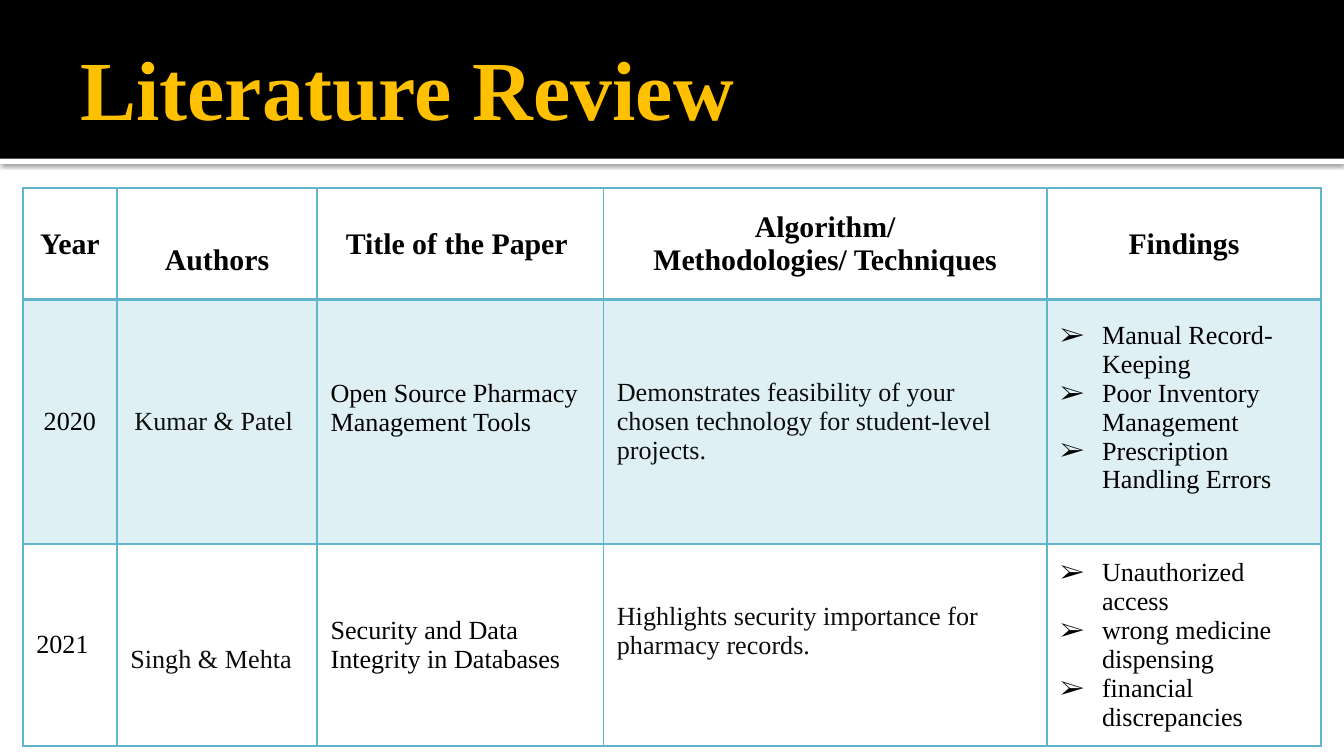
"""Build a literature review slide with a title band and a table of papers."""
from lxml import etree
from pptx import Presentation
from pptx.dml.color import RGBColor
from pptx.enum.shapes import MSO_SHAPE
from pptx.enum.text import MSO_ANCHOR, PP_ALIGN
from pptx.oxml import parse_xml
from pptx.oxml.ns import qn
from pptx.util import Inches, Pt

RECTANGLE = MSO_SHAPE.RECTANGLE
MIDDLE = MSO_ANCHOR.MIDDLE
LEFT, CENTER = PP_ALIGN.LEFT, PP_ALIGN.CENTER

NAMESPACE = "http://schemas.openxmlformats.org/drawingml/2006/main"
FONT = "Times New Roman"
COLORS = {"black": "000000", "white": "FFFFFF", "title": "FFC000",
          "accent": "60B5CC", "soft": "0D0D0D"}

TITLE = "Literature Review"
HEADERS = ["Year", "Authors", "Title of the Paper ",
           "Algorithm/\nMethodologies/ Techniques", "Findings"]
PAPERS = [
    ["2020", "Kumar & Patel ", "Open Source Pharmacy Management Tools",
     "Demonstrates feasibility of your chosen technology for student-level projects.",
     "Manual Record-Keeping\nPoor Inventory Management\nPrescription Handling Errors"],
    ["2021", "Singh & Mehta", "Security and Data Integrity in Databases",
     "Highlights security importance for pharmacy records.",
     "Unauthorized access\nwrong medicine dispensing\nfinancial discrepancies"],
]
COLUMN_WIDTHS = [0.7, 1.49, 2.13, 3.3, 2.04]
ROW_HEIGHTS = [0.83, 1.82, 1.45]
AUTHORS, METHODS, FINDINGS = 1, 3, 4
CENTERED = {(1, 0), (1, AUTHORS)}
LOWERED = {(0, AUTHORS): 0.25, (2, AUTHORS): 0.21}
RAISED = {(1, 2): 0.21, (1, FINDINGS): 0.21, (2, METHODS): 0.21}


def rgb(name):
    return RGBColor.from_string(COLORS[name])


def add_band(slide, top, height, color):
    shape = slide.shapes.add_shape(RECTANGLE, 0, Inches(top), Inches(10), Inches(height))
    shape.shadow.inherit = False
    shape.fill.solid()
    shape.fill.fore_color.rgb = rgb(color)
    shape.line.fill.background()
    return shape


def add_shadow(shape):
    effects = shape._element.spPr.find(qn("a:effectLst"))
    effects.append(parse_xml(
        f'<a:outerShdw xmlns:a="{NAMESPACE}" blurRad="{Pt(2.5)}" dist="{Pt(0.8)}" '
        f'dir="5400000" algn="tl" rotWithShape="0"><a:srgbClr val="{COLORS["black"]}">'
        '<a:alpha val="60000"/></a:srgbClr></a:outerShdw>'))


def style_font(paragraph, size, color, bold):
    font = paragraph.font
    font.name, font.size, font.bold = FONT, Pt(size), bold
    font.color.rgb = rgb(color)


def add_title(slide):
    box = slide.shapes.add_textbox(Inches(0.5), Inches(0.13), Inches(9), Inches(1.03))
    frame = box.text_frame
    frame.word_wrap = True
    frame.vertical_anchor = MIDDLE
    frame.margin_right = Inches(0.05)
    frame.text = TITLE
    style_font(frame.paragraphs[0], 45, "title", True)


def set_bullet(paragraph):
    properties = paragraph._p.get_or_add_pPr()
    properties.set("marL", str(Inches(0.31)))
    properties.set("indent", str(-Inches(0.31)))
    bullet_font = parse_xml(f'<a:buFont xmlns:a="{NAMESPACE}" typeface="{FONT}"/>')
    bullet = parse_xml(f'<a:buChar xmlns:a="{NAMESPACE}" char="➢"/>')
    defaults = properties.find(qn("a:defRPr"))
    for element in (bullet_font, bullet):
        defaults.addprevious(element)


def set_borders(cell, widths):
    properties = cell._tc.get_or_add_tcPr()
    for index, (side, width) in enumerate(widths.items()):
        properties.insert(index, parse_xml(
            f'<a:ln{side} xmlns:a="{NAMESPACE}" w="{Pt(width)}"><a:solidFill>'
            f'<a:srgbClr val="{COLORS["accent"]}"/></a:solidFill></a:ln{side}>'))


def set_fill(cell, tinted):
    if not tinted:
        cell.fill.background()
        return
    cell.fill.solid()
    cell.fill.fore_color.rgb = rgb("accent")
    color = cell._tc.tcPr.find(qn("a:solidFill")).find(qn("a:srgbClr"))
    etree.SubElement(color, qn("a:alpha")).set("val", "20000")


def fill_cell(cell, row, column, text):
    header = row == 0
    cell.text = text
    cell.vertical_anchor = MIDDLE
    cell.margin_top = Inches(0.05 + LOWERED.get((row, column), 0))
    cell.margin_bottom = Inches(0.05 + RAISED.get((row, column), 0))
    soft = not header and column in (AUTHORS, METHODS)
    for paragraph in cell.text_frame.paragraphs:
        paragraph.alignment = CENTER if header or (row, column) in CENTERED else LEFT
        style_font(paragraph, 16 if header else 14, "soft" if soft else "black", header)
        if column == FINDINGS and not header:
            set_bullet(paragraph)
    set_fill(cell, row == 1)
    set_borders(cell, {"L": 1, "R": 1, "T": 2 if row == 1 else 1, "B": 2 if header else 1})


def add_review_table(slide):
    frame = slide.shapes.add_table(
        len(ROW_HEIGHTS), len(COLUMN_WIDTHS), Inches(0.17), Inches(1.4),
        Inches(sum(COLUMN_WIDTHS)), Inches(sum(ROW_HEIGHTS)))
    table = frame.table
    table.first_row = table.horz_banding = False
    for column, width in zip(table.columns, COLUMN_WIDTHS):
        column.width = Inches(width)
    for row, height in zip(table.rows, ROW_HEIGHTS):
        row.height = Inches(height)
    for row, texts in enumerate([HEADERS] + PAPERS):
        for column, text in enumerate(texts):
            fill_cell(table.cell(row, column), row, column, text)


def main():
    presentation = Presentation()
    presentation.slide_width = Inches(10)
    presentation.slide_height = Inches(10) * 9 // 16
    slide = presentation.slides.add_slide(presentation.slide_layouts[6])
    add_shadow(add_band(slide, 1.18, 0.04, "white"))
    add_band(slide, 0, 1.18, "black")
    add_title(slide)
    add_review_table(slide)
    presentation.save("out.pptx")


if __name__ == "__main__":
    main()
